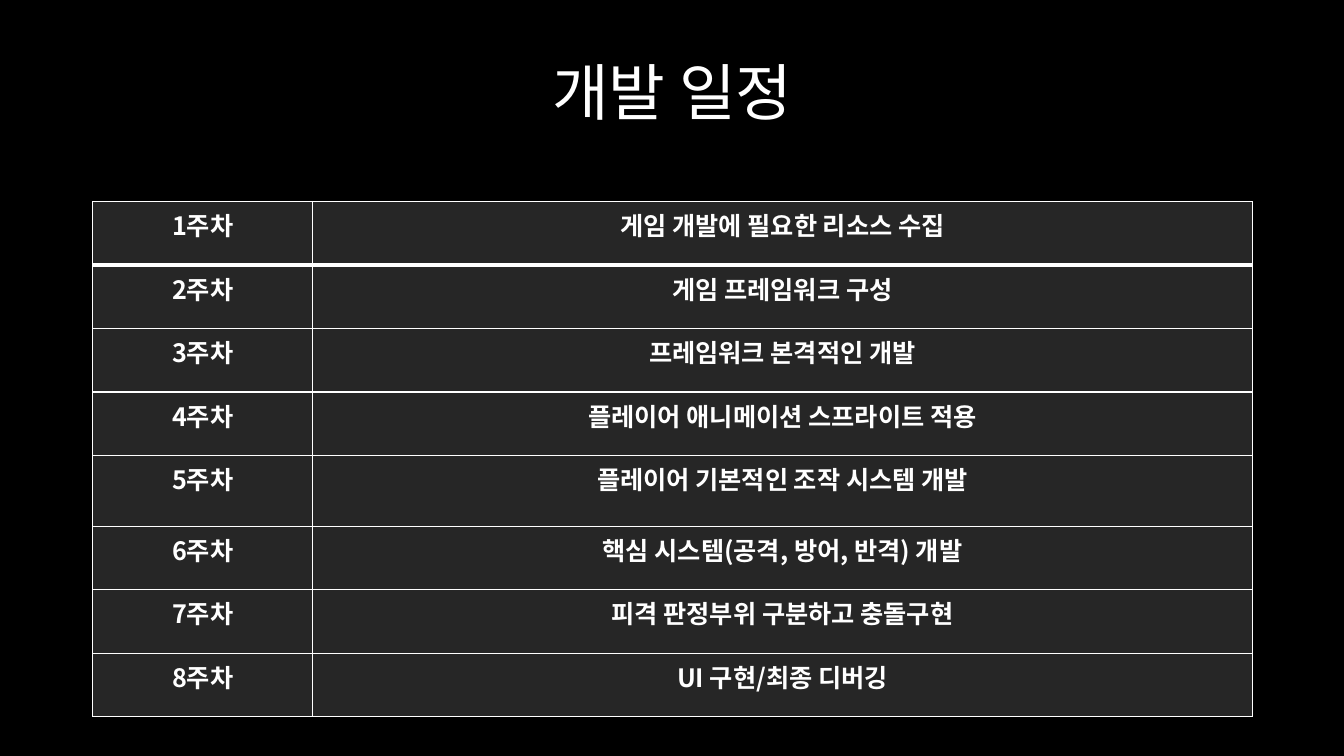
from lxml import etree
from pptx import Presentation, util as u
from pptx.dml.color import RGBColor
from pptx.enum import text
from pptx.oxml.ns import qn

PX = 9144
FACE = "Noto Sans CJK KR"
BLACK = RGBColor(0x00, 0x00, 0x00)
GREY = RGBColor(0x26, 0x26, 0x26)
WHITE = RGBColor(0xFF, 0xFF, 0xFF)
COLS = (218, 932)
ROW, TALL = 63, 70
PLAN = (
    "게임 개발에 필요한 리소스 수집",
    "게임 프레임워크 구성",
    "프레임워크 본격적인 개발",
    "플레이어 애니메이션 스프라이트 적용",
    "플레이어 기본적인 조작 시스템 개발",
    "핵심 시스템(공격, 방어, 반격) 개발",
    "피격 판정부위 구분하고 충돌구현",
    "UI 구현/최종 디버깅",
)


def px(*sizes):
    """Turn px lengths into EMU."""
    return [u.Emu(size * PX) for size in sizes]


def style(para, size, bold):
    """Centre a paragraph and set its white font for Latin and Korean."""
    para.alignment = text.PP_ALIGN.CENTER
    font = para.font
    font.size, font.bold, font.name = u.Pt(size), bold, FACE
    font.color.rgb = WHITE
    props = para._p.pPr.find(qn("a:defRPr"))
    asian = etree.Element(qn("a:ea"), typeface=FACE)
    props.find(qn("a:latin")).addnext(asian)


def edge(cell, top, base):
    """Draw white cell borders, with top and base widths in points."""
    props = cell._tc.get_or_add_tcPr()
    sides = (("lnL", 1), ("lnR", 1), ("lnT", top), ("lnB", base))
    for spot, (side, width) in enumerate(sides):
        line = etree.Element(qn(f"a:{side}"), w=str(u.Pt(width)))
        fill = etree.SubElement(line, qn("a:solidFill"))
        etree.SubElement(fill, qn("a:srgbClr"), val=str(WHITE))
        props.insert(spot, line)


def head(slide, words, box):
    """Place the slide title in its box."""
    title = slide.shapes.title
    title.left, title.top, title.width, title.height = px(*box)
    frame = title.text_frame
    frame.text = words
    frame.vertical_anchor = text.MSO_ANCHOR.MIDDLE
    para = frame.paragraphs[0]
    para.line_spacing = 0.9
    style(para, 44, False)


def weeks(slide, box):
    """Place the table with one row for each week."""
    table = slide.shapes.add_table(len(PLAN), len(COLS), *px(*box)).table
    table.first_row = table.horz_banding = False
    for col, width in zip(table.columns, px(*COLS)):
        col.width = width
    for week, task in enumerate(PLAN, 1):
        row = table.rows[week - 1]
        row.height = px(TALL if week == 5 else ROW)[0]
        for cell, words in zip(row.cells, (f"{week}주차", task)):
            cell.text = words
            cell.fill.solid()
            cell.fill.fore_color.rgb = GREY
            style(cell.text_frame.paragraphs[0], 18, True)
            edge(cell, 3 if week == 2 else 1, 3 if week == 1 else 1)


def main():
    """Build the schedule slide and save it."""
    deck = Presentation()
    deck.slide_width, deck.slide_height = px(1333, 750)
    slide = deck.slides.add_slide(deck.slide_layouts[5])
    back = slide.background.fill
    back.solid()
    back.fore_color.rgb = BLACK
    head(slide, "개발 일정", (92, 22, 1150, 145))
    weeks(slide, (92, 200, sum(COLS), ROW * 7 + TALL))
    deck.save("out.pptx")


if __name__ == "__main__":
    main()
